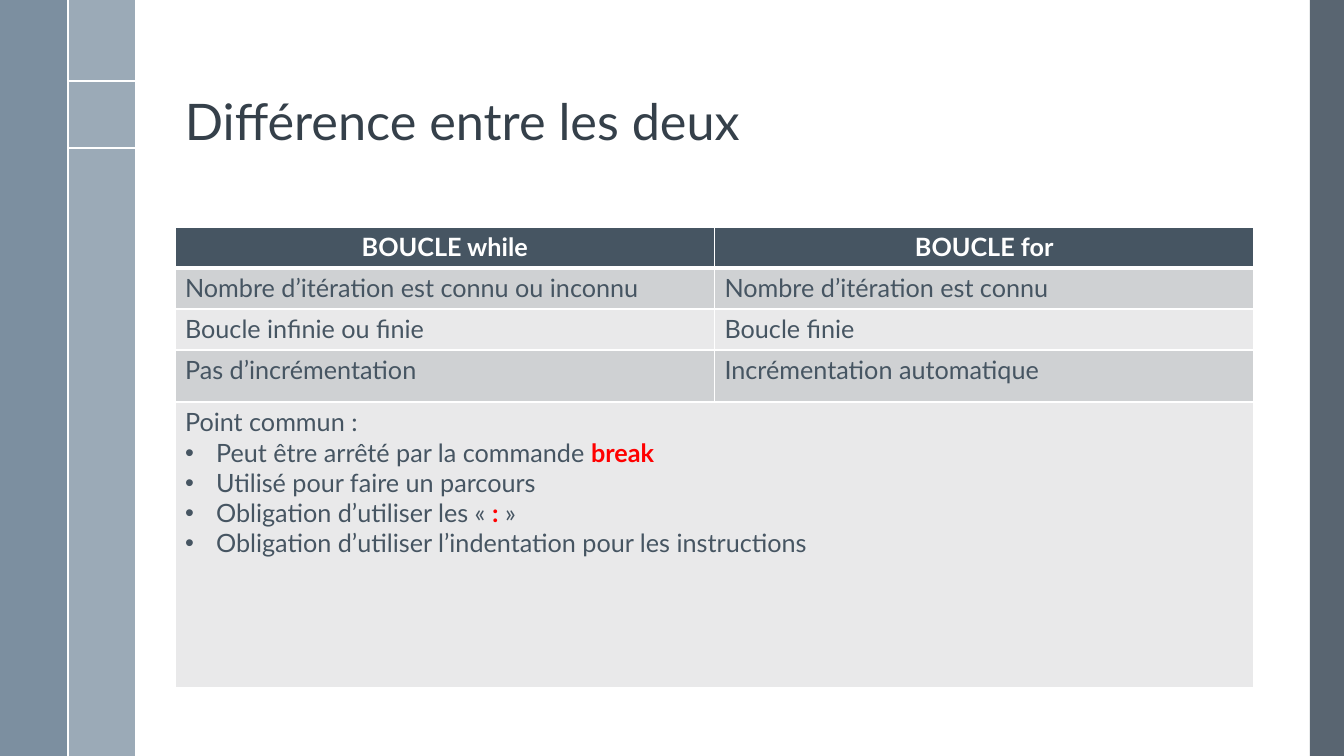
"""Build a slide comparing while and for loops in a table."""
from lxml import etree
from pptx import Presentation
from pptx.dml.color import RGBColor
from pptx.enum.shapes import MSO_CONNECTOR, MSO_SHAPE
from pptx.enum.text import MSO_ANCHOR, PP_ALIGN
from pptx.oxml.ns import qn
from pptx.util import Emu, Pt

RECTANGLE, STRAIGHT = MSO_SHAPE.RECTANGLE, MSO_CONNECTOR.STRAIGHT
CENTER, LEFT, BOTTOM = PP_ALIGN.CENTER, PP_ALIGN.LEFT, MSO_ANCHOR.BOTTOM
EMU_PER_PX = 914400 / 100.8
WIDTH, HEIGHT, BAND = 1344, 756, 67
FONT = "Lato"
WHITE, SLATE, TITLE_INK, RED = "FFFFFF", "465562", "35404A", "FF0000"
DARK_ROW, LIGHT_ROW = "CFD1D3", "E9E9EA"

TITLE = "Différence entre les deux"
TITLE_BOX = (175, 19, 1079, 137)
BANDS = [
    (1310, WIDTH - 1310, "475562", 90),
    (BAND, BAND + 1, "9BAAB7", 100),
    (0, BAND, "6A8093", 88),
]
RULES = [
    (BAND, 81, 2 * BAND + 1, 81),
    (BAND, 148, 2 * BAND + 1, 148),
    (BAND + 1, 0, BAND + 1, HEIGHT),
]
COMPARISON = [
    ("BOUCLE while", "BOUCLE for"),
    ("Nombre d’itération est connu ou inconnu", "Nombre d’itération est connu"),
    ("Boucle infinie ou finie", "Boucle finie"),
    ("Pas d’incrémentation", "Incrémentation automatique"),
]
COMMON_HEADING = "Point commun :"
COMMON_POINTS = [
    ("Peut être arrêté par la commande ", "break"),
    ("Utilisé pour faire un parcours",),
    ("Obligation d’utiliser les «\u00a0", ":", "\u00a0»"),
    ("Obligation d’utiliser l’indentation pour les instructions",),
]
TABLE_LEFT, TABLE_TOP, TABLE_WIDTH = 175, 227, 1079
ROW_HEIGHTS = [41, 41, 41, 52, 286]
BULLET_INDENT = 31


def px(length):
    return Emu(round(length * EMU_PER_PX))


def rgb(color):
    return RGBColor.from_string(color)


def write(paragraph, text, size, color, bold=False):
    run = paragraph.add_run()
    run.text = text
    for name, value in {"name": FONT, "size": Pt(size), "bold": bold}.items():
        setattr(run.font, name, value)
    run.font.color.rgb = rgb(color)


def add_band(left, width, color, opacity):
    band = slide.shapes.add_shape(RECTANGLE, px(left), 0, px(width), px(HEIGHT))
    band.shadow.inherit = False
    band.fill.solid()
    band.fill.fore_color.rgb = rgb(color)
    band.line.fill.background()
    if opacity < 100:
        tint = next(band.element.spPr.iter(qn("a:srgbClr")))
        etree.SubElement(tint, qn("a:alpha"), val=str(opacity * 1000))


def add_rule(*ends):
    rule = slide.shapes.add_connector(STRAIGHT, *map(px, ends))
    rule.line.color.rgb = rgb(WHITE)
    rule.line.width = Pt(1.5)
    etree.SubElement(rule.element.spPr, qn("a:effectLst"))


def style_cell(cell, row):
    cell.fill.solid()
    cell.fill.fore_color.rgb = rgb(SLATE if row == 0 else DARK_ROW if row % 2 else LIGHT_ROW)
    widths = {"L": 1, "R": 1, "T": 3 if row == 1 else 1, "B": 3 if row == 0 else 1}
    properties = cell._tc.get_or_add_tcPr()
    for position, (side, width) in enumerate(widths.items()):
        border = etree.Element(qn(f"a:ln{side}"), w=str(Pt(width)))
        paint = etree.SubElement(border, qn("a:solidFill"))
        etree.SubElement(paint, qn("a:srgbClr"), val=WHITE)
        properties.insert(position, border)


def add_bullet(paragraph):
    properties = paragraph._p.get_or_add_pPr()
    properties.set("marL", str(px(BULLET_INDENT)))
    properties.set("indent", str(-px(BULLET_INDENT)))
    etree.SubElement(properties, qn("a:buFont"), typeface="Arial")
    etree.SubElement(properties, qn("a:buChar"), char="•")


deck = Presentation()
deck.slide_width, deck.slide_height = px(WIDTH), px(HEIGHT)
slide = deck.slides.add_slide(deck.slide_layouts[6])

for band_values in BANDS:
    add_band(*band_values)
for rule_ends in RULES:
    add_rule(*rule_ends)

title = slide.shapes.add_textbox(*map(px, TITLE_BOX)).text_frame
title.word_wrap, title.vertical_anchor = True, BOTTOM
title.paragraphs[0].line_spacing = 0.9
write(title.paragraphs[0], TITLE, 36, TITLE_INK)

table = slide.shapes.add_table(
    len(ROW_HEIGHTS), 2, px(TABLE_LEFT), px(TABLE_TOP), px(TABLE_WIDTH), px(sum(ROW_HEIGHTS))
).table
for row, height in enumerate(ROW_HEIGHTS):
    table.rows[row].height = px(height)
    for cell in table.rows[row].cells:
        style_cell(cell, row)

for row, texts in enumerate(COMPARISON):
    header = row == 0
    for column, text in enumerate(texts):
        paragraph = table.cell(row, column).text_frame.paragraphs[0]
        paragraph.alignment = CENTER if header else LEFT
        write(paragraph, text, 18, WHITE if header else SLATE, header)

last = len(COMPARISON)
table.cell(last, 0).merge(table.cell(last, 1))
common = table.cell(last, 0).text_frame
write(common.paragraphs[0], COMMON_HEADING, 18, SLATE)
for point in COMMON_POINTS:
    paragraph = common.add_paragraph()
    add_bullet(paragraph)
    for part, text in enumerate(point):
        keyword = part == 1
        write(paragraph, text, 18, RED if keyword else SLATE, keyword)

deck.save("out.pptx")
